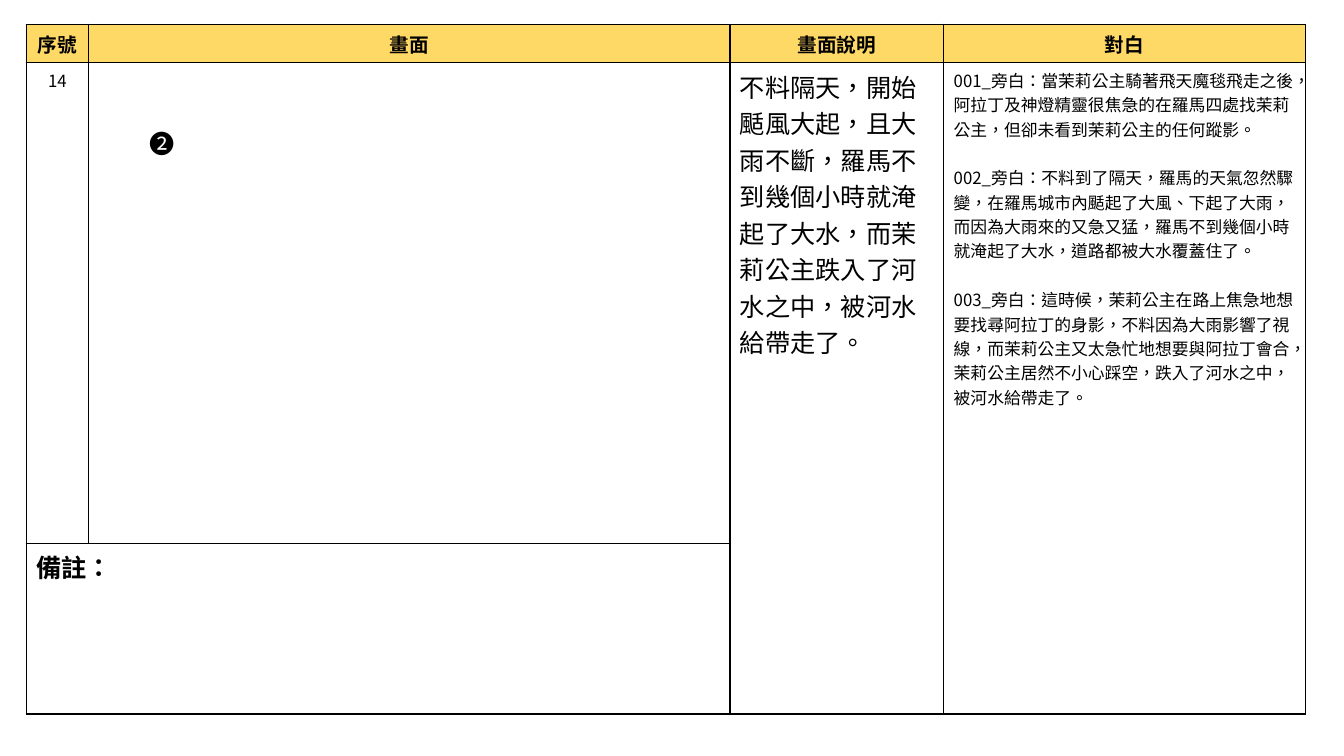
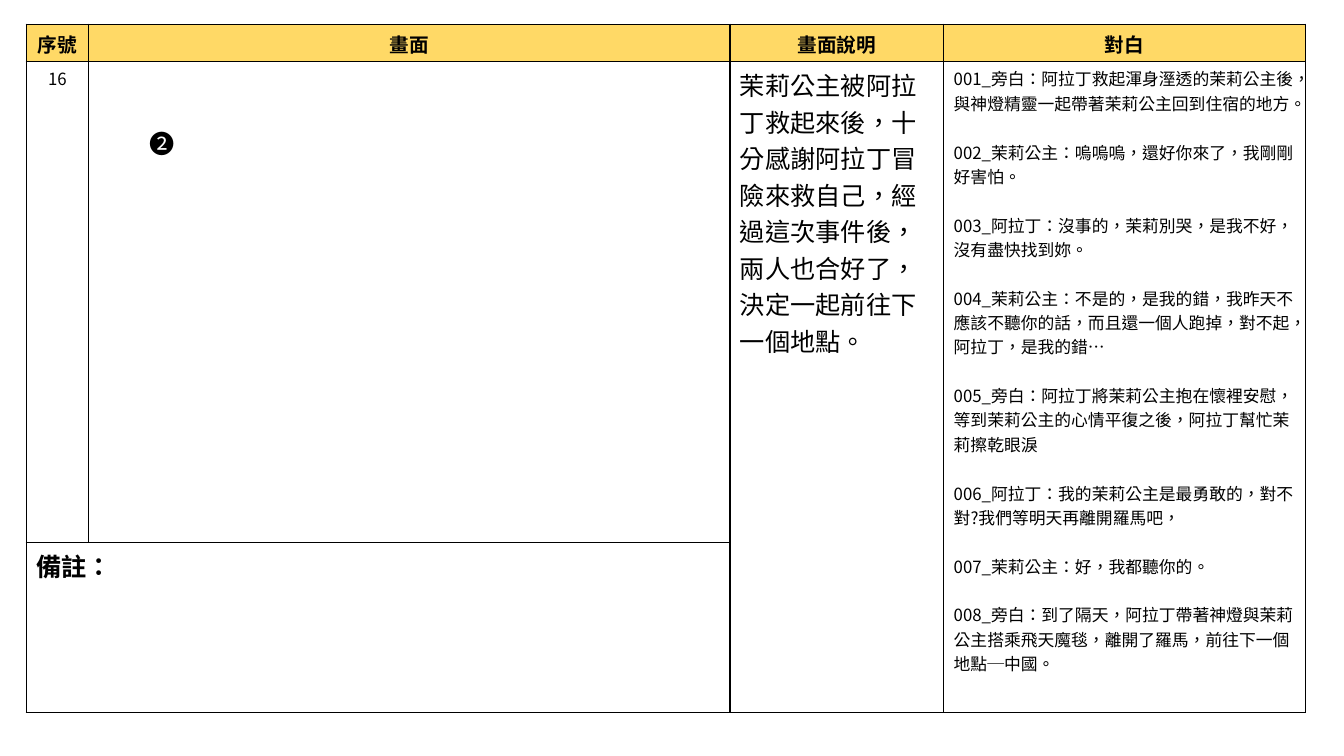
from lxml import etree
from pptx import Presentation
from pptx.dml.color import RGBColor
from pptx.enum.text import PP_ALIGN
from pptx.oxml.ns import qn
from pptx.util import Inches, Pt

CENTER, LEFT = PP_ALIGN.CENTER, PP_ALIGN.LEFT
BLACK, GOLD = "000000", "FFD966"
COLS = [0.62, 6.36, 2.12, 3.59]
ROWS = [0.37, 4.77, 1.69]
HEADERS = ["序號", "畫面", "畫面說明", "對白"]

SCENES = [
    ("14",
     "不料隔天，開始颳風大起，且大雨不斷，羅馬不到幾個小時就淹起了大水，而茉莉公主跌入了河水之中，被河水給帶走了。",
     ["001_旁白：當茉莉公主騎著飛天魔毯飛走之後，阿拉丁及神燈精靈很焦急的在羅馬四處找茉莉公主，但卻未看到茉莉公主的任何蹤影。",
      "002_旁白：不料到了隔天，羅馬的天氣忽然驟變，在羅馬城市內颳起了大風、下起了大雨，而因為大雨來的又急又猛，羅馬不到幾個小時就淹起了大水，道路都被大水覆蓋住了。",
      "003_旁白：這時候，茉莉公主在路上焦急地想要找尋阿拉丁的身影，不料因為大雨影響了視線，而茉莉公主又太急忙地想要與阿拉丁會合，茉莉公主居然不小心踩空，跌入了河水之中，被河水給帶走了。"]),
    ("16",
     "茉莉公主被阿拉丁救起來後，十分感謝阿拉丁冒險來救自己，經過這次事件後，兩人也合好了，決定一起前往下一個地點。",
     ["001_旁白：阿拉丁救起渾身溼透的茉莉公主後，與神燈精靈一起帶著茉莉公主回到住宿的地方。",
      "002_茉莉公主：嗚嗚嗚，還好你來了，我剛剛好害怕。",
      "003_阿拉丁：沒事的，茉莉別哭，是我不好，沒有盡快找到妳。",
      "004_茉莉公主：不是的，是我的錯，我昨天不應該不聽你的話，而且還一個人跑掉，對不起，阿拉丁，是我的錯…",
      "005_旁白：阿拉丁將茉莉公主抱在懷裡安慰，等到茉莉公主的心情平復之後，阿拉丁幫忙茉莉擦乾眼淚",
      "006_阿拉丁：我的茉莉公主是最勇敢的，對不對?我們等明天再離開羅馬吧，",
      "007_茉莉公主：好，我都聽你的。",
      "008_旁白：到了隔天，阿拉丁帶著神燈與茉莉公主搭乘飛天魔毯，離開了羅馬，前往下一個地點─中國。"]),
]


def rgb(value):
    return RGBColor.from_string(value)


class Storyboard:
    font = "Noto Sans CJK SC"
    language = "zh-TW"
    paragraph_gap = 17.4

    def __init__(self, prs):
        self.prs = prs
        self.s = None

    def add_slide(self):
        self.s = self.prs.slides.add_slide(self.prs.slide_layouts[6])

    def set_text(self, tf, lines, size, bold=False, align=LEFT):
        tf.text = "\n".join(lines)
        for i, p in enumerate(tf.paragraphs):
            p.alignment = align
            if i:
                p.space_before = Pt(self.paragraph_gap)
            for r in p.runs:
                r.font.size, r.font.bold = Pt(size), bold
                r.font.name = self.font
                r.font.color.rgb = rgb(BLACK)
                rPr = r._r.get_or_add_rPr()
                rPr.set("lang", self.language)
                etree.SubElement(rPr, qn("a:ea"), typeface=self.font)

    def outline(self, cell):
        tcPr = cell._tc.get_or_add_tcPr()
        for i, side in enumerate(("lnL", "lnR", "lnT", "lnB")):
            ln = etree.Element(qn(f"a:{side}"), w=str(int(Pt(1))))
            fill = etree.SubElement(ln, qn("a:solidFill"))
            etree.SubElement(fill, qn("a:srgbClr"), val=BLACK)
            tcPr.insert(i, ln)

    def add_grid(self):
        frame = self.s.shapes.add_table(
            len(ROWS), len(COLS), Inches(0.26), Inches(0.24),
            Inches(sum(COLS)), Inches(sum(ROWS)))
        table = frame.table
        table.first_row = table.horz_banding = False
        for column, width in zip(table.columns, COLS):
            column.width = Inches(width)
        for row, height in zip(table.rows, ROWS):
            row.height = Inches(height)
        for cell in table.iter_cells():
            cell.fill.background()
            self.outline(cell)
        for i, header in enumerate(HEADERS):
            cell = table.cell(0, i)
            cell.fill.solid()
            cell.fill.fore_color.rgb = rgb(GOLD)
            self.set_text(cell.text_frame, [header], 14, True, CENTER)
        for start, end in (((1, 2), (2, 2)), ((1, 3), (2, 3)), ((2, 0), (2, 1))):
            table.cell(*start).merge(table.cell(*end))
        return table

    def add_scene(self, number, description, dialogue):
        table = self.add_grid()
        self.set_text(table.cell(1, 0).text_frame, [number], 12, align=CENTER)
        self.set_text(table.cell(1, 2).text_frame, [description], 18)
        self.set_text(table.cell(1, 3).text_frame, dialogue, 12)
        self.set_text(table.cell(2, 0).text_frame, ["備註："], 18, True)

    def add_marker(self, text):
        tf = self.s.shapes.add_textbox(
            Inches(1.38), Inches(1.22), Inches(0.43), Inches(0.4)).text_frame
        tf.word_wrap = True
        self.set_text(tf, [text], 18)


def main():
    prs = Presentation()
    prs.slide_width, prs.slide_height = Inches(13.33), Inches(7.5)
    board = Storyboard(prs)
    for scene in SCENES:
        board.add_slide()
        board.add_scene(*scene)
        board.add_marker("❷")
    prs.save("out.pptx")


if __name__ == "__main__":
    main()
